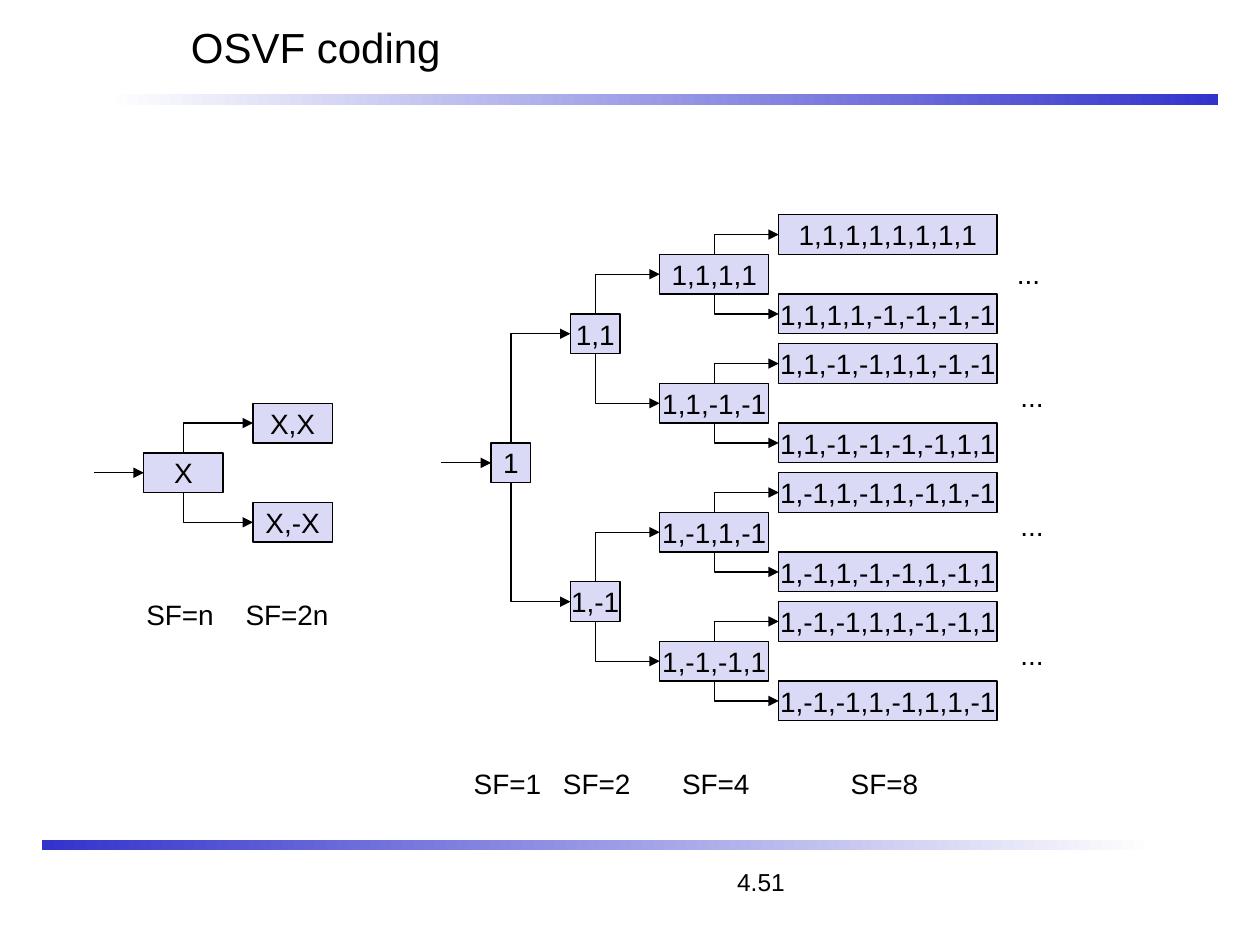
from dataclasses import dataclass

import pptx
import pptx.dml.color
import pptx.enum.shapes
import pptx.enum.text
import pptx.oxml
import pptx.oxml.ns
import pptx.util
from pptx.util import Cm

BLACK = pptx.dml.color.RGBColor(0x00, 0x00, 0x00)
WHITE = pptx.dml.color.RGBColor(0xFF, 0xFF, 0xFF)
BLUE = pptx.dml.color.RGBColor(0x33, 0x33, 0xCC)
LAVENDER = pptx.dml.color.RGBColor(0xDA, 0xDA, 0xF6)

RECTANGLE = pptx.enum.shapes.MSO_SHAPE.RECTANGLE
STRAIGHT = pptx.enum.shapes.MSO_CONNECTOR.STRAIGHT
ELBOW = pptx.enum.shapes.MSO_CONNECTOR.ELBOW
MIDDLE = pptx.enum.text.MSO_ANCHOR.MIDDLE
CENTER = pptx.enum.text.PP_ALIGN.CENTER
FIT_SHAPE = pptx.enum.text.MSO_AUTO_SIZE.SHAPE_TO_FIT_TEXT
BOX_HEIGHT = 0.8
LABEL_HEIGHT = 0.93


@dataclass
class Node:
    text: str
    left: float
    top: float
    width: float

    @property
    def center_x(self) -> float:
        return self.left + self.width / 2

    @property
    def center_y(self) -> float:
        return self.top + BOX_HEIGHT / 2


@dataclass
class Level:
    left: float
    width: float
    label_left: float
    tops: list[float]


@dataclass
class Label:
    text: str
    left: float
    top: float
    width: float = 1.87


LEVELS = [
    Level(9.9, 0.8, 9.3, [8.93]),
    Level(11.5, 1.0, 11.1, [6.33, 11.73]),
    Level(13.3, 2.2, 13.5, [5.13 + 2.6 * i for i in range(4)]),
    Level(15.7, 4.4, 16.9, [4.33 + 2.6 * (i // 2) + 1.6 * (i % 2) for i in range(8)]),
]


def style_font(paragraph, size: int) -> None:
    paragraph.font.name = "Arial"
    paragraph.font.size = pptx.util.Pt(size)
    paragraph.font.color.rgb = BLACK


def draw_text(slide, text: str, left: float, top: float, width: float, height: float,
              size: int):
    frame = slide.shapes.add_textbox(Cm(left), Cm(top), Cm(width), Cm(height)).text_frame
    frame.word_wrap = True
    frame.paragraphs[0].text = text
    style_font(frame.paragraphs[0], size)
    return frame


def draw_label(slide, label: Label) -> None:
    frame = draw_text(slide, label.text, label.left, label.top, label.width, LABEL_HEIGHT, 16)
    frame.word_wrap = False
    frame.auto_size = FIT_SHAPE


def draw_page_number(slide, number: str) -> None:
    frame = slide.shapes.add_textbox(Cm(0.85), Cm(17.36), Cm(22.23), Cm(0.85)).text_frame
    frame.word_wrap = True
    paragraph = frame.paragraphs[0]
    paragraph.text = "\t" + number
    properties = paragraph._p.get_or_add_pPr()
    tab = properties.makeelement(pptx.oxml.ns.qn("a:tab"), {"pos": str(Cm(13.76)), "algn": "l"})
    tab_list = properties.makeelement(pptx.oxml.ns.qn("a:tabLst"), {})
    tab_list.append(tab)
    properties.append(tab_list)
    style_font(paragraph, 14)


def draw_rule(slide, left: float, top: float, colors: tuple) -> None:
    rule = slide.shapes.add_shape(RECTANGLE, Cm(left), Cm(top), Cm(22.44), Cm(0.21))
    rule.shadow.inherit = False
    rule.line.fill.background()
    rule.fill.gradient()
    rule.fill.gradient_angle = 0
    for stop, position, color in zip(rule.fill.gradient_stops, (0, 1), colors):
        stop.position = position
        stop.color.rgb = color


def draw_node(slide, node: Node) -> None:
    box = slide.shapes.add_shape(
        RECTANGLE, Cm(node.left), Cm(node.top), Cm(node.width), Cm(BOX_HEIGHT))
    box.shadow.inherit = False
    box.fill.solid()
    box.fill.fore_color.rgb = LAVENDER
    box.line.color.rgb = BLACK
    box.line.width = pptx.util.Pt(0.75)
    frame = box.text_frame
    frame.word_wrap = False
    frame.vertical_anchor = MIDDLE
    paragraph = frame.paragraphs[0]
    paragraph.text = node.text
    paragraph.alignment = CENTER
    style_font(paragraph, 16)


def draw_arrow(slide, kind, x1: float, y1: float, x2: float, y2: float):
    arrow = slide.shapes.add_connector(kind, Cm(x1), Cm(y1), Cm(x2), Cm(y2))
    arrow.line.color.rgb = BLACK
    arrow.line.width = pptx.util.Pt(0.75)
    qn = pptx.oxml.ns.qn
    line = arrow.line._get_or_add_ln()
    line.append(line.makeelement(qn("a:tailEnd"), {"type": "triangle"}))
    properties = arrow._element.spPr
    properties.append(properties.makeelement(qn("a:effectLst"), {}))
    return arrow


def draw_entry(slide, node: Node) -> None:
    draw_arrow(slide, STRAIGHT, node.left - 1, node.center_y, node.left, node.center_y)


def draw_branch(slide, parent: Node, child: Node) -> None:
    upward = child.top < parent.top
    start_y = parent.top if upward else parent.top + BOX_HEIGHT
    middle_x = (parent.center_x + child.left) / 2
    middle_y = (start_y + child.center_y) / 2
    half_run = abs(child.center_y - start_y) / 2
    half_rise = (child.left - parent.center_x) / 2
    if not upward:
        half_rise = -half_rise
    branch = draw_arrow(slide, ELBOW, middle_x + half_run, middle_y + half_rise,
                        middle_x - half_run, middle_y - half_rise)
    properties = branch._element.spPr
    properties.find(pptx.oxml.ns.qn("a:prstGeom")).set("prst", "bentConnector2")
    quarter_turns = 1 if upward else 3
    properties.find(pptx.oxml.ns.qn("a:xfrm")).set("rot", str(quarter_turns * 5400000))


def draw_code_tree(slide) -> None:
    codes = [[1]]
    parents: list[Node] = []
    for level in LEVELS:
        nodes = [Node(",".join(map(str, code)), level.left, top, level.width)
                 for code, top in zip(codes, level.tops)]
        for index, node in enumerate(nodes):
            draw_node(slide, node)
            if parents:
                draw_branch(slide, parents[index // 2], node)
            else:
                draw_entry(slide, node)
        parents = nodes
        codes = [code + [sign * chip for chip in code] for code in codes for sign in (1, -1)]


def draw_rule_tree(slide) -> None:
    root = Node("X", 2.9, 9.13, 1.6)
    draw_node(slide, root)
    draw_entry(slide, root)
    for child in (Node("X,X", 5.1, 8.13, 1.6), Node("X,-X", 5.1, 10.13, 1.6)):
        draw_node(slide, child)
        draw_branch(slide, root, child)


def main() -> None:
    deck = pptx.Presentation()
    deck.slide_width, deck.slide_height = Cm(25.4), Cm(19.05)
    slide = deck.slides.add_slide(deck.slide_layouts[6])

    draw_rule(slide, 2.12, 1.9, (WHITE, BLUE))
    draw_rule(slide, 0.85, 16.93, (BLUE, WHITE))
    draw_page_number(slide, "4.51")
    title = draw_text(slide, "OSVF coding", 3.6, 0, 21.38, 1.9, 24)
    title.vertical_anchor = MIDDLE

    draw_code_tree(slide)
    draw_rule_tree(slide)

    labels = [Label(f"SF={2 ** i}", level.label_left, 15.32) for i, level in enumerate(LEVELS)]
    labels += [Label("SF=n", 2.7, 11.92), Label("SF=2n", 4.7, 11.92, 2.18)]
    labels += [Label("...", 20.25, 5.05, 0.97)]
    labels += [Label("...", 20.32, 7.52 + 2.6 * i, 0.97) for i in range(3)]
    for label in labels:
        draw_label(slide, label)

    deck.save("out.pptx")


if __name__ == "__main__":
    main()
